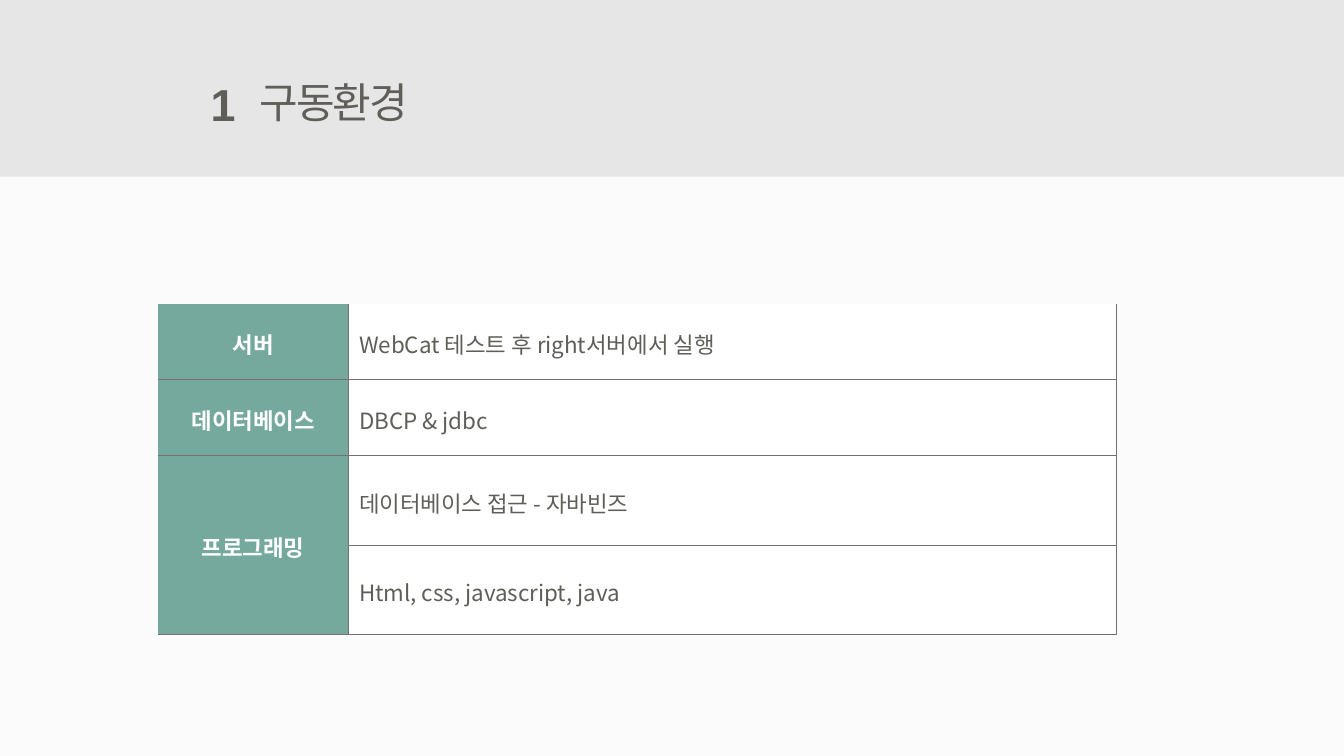
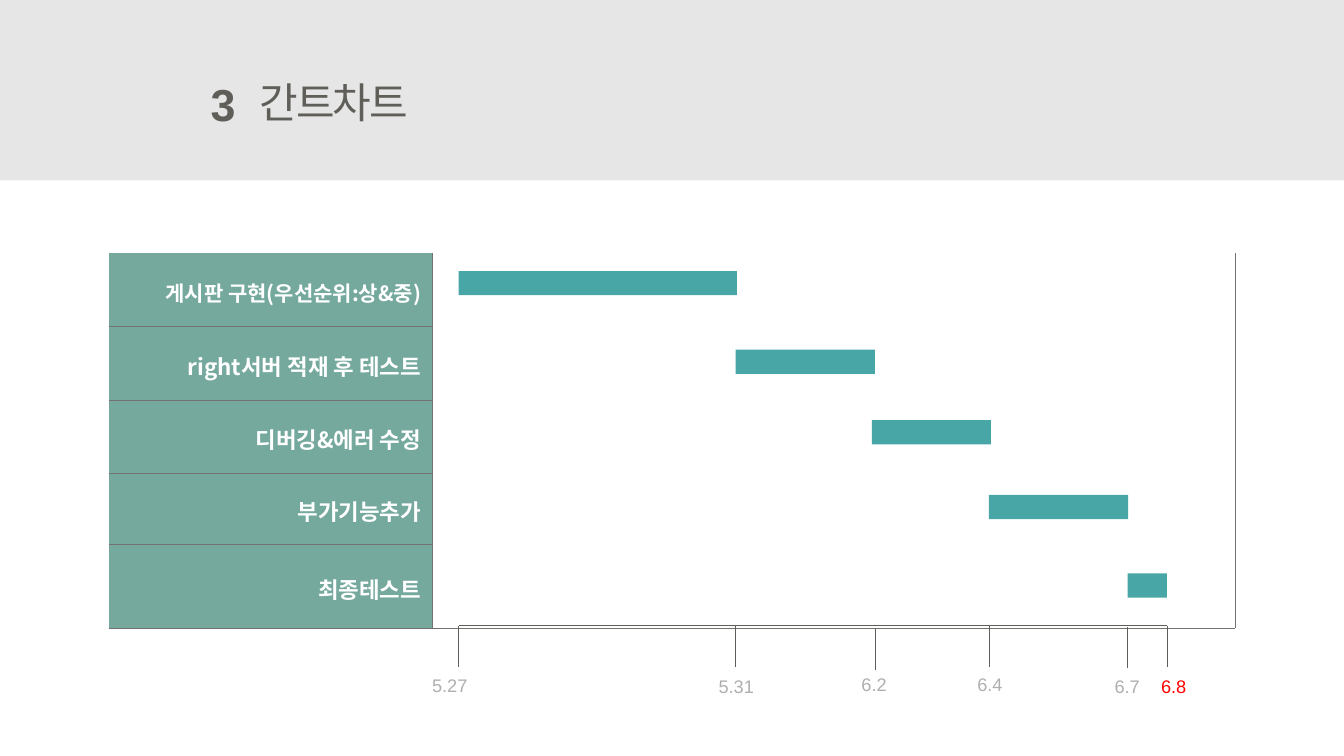
from dataclasses import dataclass
from itertools import product

from lxml.etree import SubElement
from pptx import Presentation
from pptx.dml.color import RGBColor
from pptx.enum.shapes import MSO_CONNECTOR, MSO_SHAPE
from pptx.enum.text import MSO_ANCHOR, MSO_AUTO_SIZE, PP_ALIGN
from pptx.oxml.ns import qn
from pptx.util import Cm, Pt


@dataclass(frozen=True)
class Theme:
    latin: str = "Arial"
    korean: str = "Noto Sans CJK KR"
    page: str = "FBFBFB"
    white: str = "FFFFFF"
    band: str = "E7E6E6"
    ink: str = "5F5E58"
    label: str = "75A99E"
    bar: str = "49A6A6"
    border: str = "767171"
    date: str = "B1AEAE"
    deadline: str = "FF0000"
    number_size: int = 32
    title_size: int = 30
    table_size: int = 16
    compact_size: int = 15
    date_size: int = 13
    border_width: float = 0.25
    axis_width: float = 0.5


THEME = Theme()
SLIDE_WIDTH, SLIDE_HEIGHT = 33.87, 19.05
TICK_LENGTH, BAR_HEIGHT = 1.04, 0.61

ENVIRONMENT = {
    "place": (3.99, 7.65),
    "columns": (4.78, 19.35),
    "rows": (1.91, 1.91, 2.26, 2.26),
    "cells": [
        ("서버", "WebCat 테스트 후 right서버에서 실행"),
        ("데이터베이스", "DBCP & jdbc"),
        ("프로그래밍", "데이터베이스 접근 - 자바빈즈"),
        ("", "Html, css, javascript, java"),
    ],
    "merge": ((2, 0), (3, 0)),
    "label_align": PP_ALIGN.CENTER,
}

TASKS = {
    "place": (2.74, 6.38),
    "columns": (8.15, 20.24),
    "rows": (1.85, 1.85, 1.85, 1.78, 2.11),
    "cells": [
        ("게시판 구현(우선순위:상&중)", ""),
        ("right서버 적재 후 테스트", ""),
        ("디버깅&에러 수정", ""),
        ("부가기능추가", ""),
        ("최종테스트", ""),
    ],
    "merge": ((0, 1), (4, 1)),
    "label_align": PP_ALIGN.RIGHT,
    "compact_rows": (0,),
}

# left, top, width
BARS = [
    (11.56, 6.83, 7.01),
    (18.54, 8.81, 3.51),
    (21.97, 10.59, 3.0),
    (24.92, 12.47, 3.51),
    (28.42, 14.45, 0.99),
]

# date, tick x, tick top, label left, label top, label width, colour
DATES = [
    ("5.27", 11.56, 15.77, 10.64, 16.87, 1.42, THEME.date),
    ("5.31", 18.54, 15.77, 17.86, 16.89, 1.42, THEME.date),
    ("6.2", 22.05, 15.85, 21.46, 16.84, 1.17, THEME.date),
    ("6.4", 24.94, 15.77, 24.38, 16.84, 1.17, THEME.date),
    ("6.7", 28.42, 15.8, 27.84, 16.89, 1.17, THEME.date),
    ("6.8", 29.41, 15.77, 29.01, 16.89, 2.74, THEME.deadline),
]


def color(value):
    return RGBColor.from_string(value)


def style(paragraph, size, ink, face, bold=False, align=PP_ALIGN.LEFT, spacing=None):
    paragraph.alignment = align
    font = paragraph.font
    font.size, font.bold, font.name = Pt(size), bold, face
    font.color.rgb = color(ink)
    properties = paragraph._p.pPr.find(qn("a:defRPr"))
    SubElement(properties, qn("a:ea")).set("typeface", THEME.korean)
    if spacing is not None:
        properties.set("spc", str(spacing))


def add_text(slide, text, left, top, width, height, wrap=False, **look):
    box = slide.shapes.add_textbox(Cm(left), Cm(top), Cm(width), Cm(height))
    frame = box.text_frame
    frame.word_wrap = wrap
    frame.auto_size = MSO_AUTO_SIZE.SHAPE_TO_FIT_TEXT
    frame.text = text
    style(frame.paragraphs[0], **look)


def add_block(slide, left, top, width, height, fill):
    shape = slide.shapes.add_shape(
        MSO_SHAPE.RECTANGLE, Cm(left), Cm(top), Cm(width), Cm(height)
    )
    shape.shadow.inherit = False
    shape.fill.solid()
    shape.fill.fore_color.rgb = color(fill)
    shape.line.fill.background()


def add_line(slide, x1, y1, x2, y2):
    line = slide.shapes.add_connector(
        MSO_CONNECTOR.STRAIGHT, Cm(x1), Cm(y1), Cm(x2), Cm(y2)
    )
    line.line.color.rgb = color(THEME.ink)
    line.line.width = Pt(THEME.axis_width)
    SubElement(line._element.spPr, qn("a:effectLst"))


def set_borders(cell, sides):
    properties = cell._tc.get_or_add_tcPr()
    for side, visible in sides.items():
        line = SubElement(properties, qn(f"a:ln{side}"))
        line.set("w", str(Pt(THEME.border_width)))
        if visible:
            fill = SubElement(line, qn("a:solidFill"))
            SubElement(fill, qn("a:srgbClr")).set("val", THEME.border)
        else:
            SubElement(line, qn("a:noFill"))


def add_label_table(slide, data):
    columns, rows = data["columns"], data["rows"]
    left, top = data["place"]
    table = slide.shapes.add_table(
        len(rows), len(columns), Cm(left), Cm(top), Cm(sum(columns)), Cm(sum(rows))
    ).table
    table.first_row = table.horz_banding = False
    for column, width in zip(table.columns, columns):
        column.width = Cm(width)
    for row, height in zip(table.rows, rows):
        row.height = Cm(height)
    first, last = data["merge"]
    table.cell(*first).merge(table.cell(*last))

    for r, c in product(range(len(rows)), range(len(columns))):
        cell = table.cell(r, c)
        inner = not cell.is_spanned
        set_borders(cell, {
            "L": c > 0,
            "R": True,
            "T": r > 0 and inner,
            "B": inner or r == len(rows) - 1,
        })
        cell.fill.solid()
        cell.fill.fore_color.rgb = color(THEME.white if c else THEME.label)
        cell.vertical_anchor = MSO_ANCHOR.MIDDLE
        cell.margin_left = cell.margin_right = Cm(0.28)
        cell.margin_top = cell.margin_bottom = Cm(0.15)
        text = data["cells"][r][c]
        if text:
            cell.text = text
            paragraph = cell.text_frame.paragraphs[0]
            paragraph.line_spacing = 1.15
            compact = c == 0 and r in data.get("compact_rows", ())
            style(
                paragraph,
                size=THEME.compact_size if compact else THEME.table_size,
                ink=THEME.ink if c else THEME.white,
                face=THEME.korean,
                bold=c == 0,
                align=PP_ALIGN.JUSTIFY if c else data["label_align"],
            )


def add_titled_slide(presentation, number, title, background, band_top=0):
    slide = presentation.slides.add_slide(presentation.slide_layouts[6])
    slide.background.fill.solid()
    slide.background.fill.fore_color.rgb = color(background)
    add_block(slide, 0, band_top, SLIDE_WIDTH, 4.55, THEME.band)
    add_text(slide, number, 5.05, 1.8, 1.14, 1.63, size=THEME.number_size,
             ink=THEME.ink, face=THEME.latin, bold=True, align=PP_ALIGN.RIGHT)
    add_text(slide, title, 6.3, 1.8, 4.57, 1.55, size=THEME.title_size,
             ink=THEME.ink, face=THEME.korean, spacing=-150)
    return slide


def add_schedule(slide):
    for left, top, width in BARS:
        add_block(slide, left, top, width, BAR_HEIGHT, THEME.bar)
    axis_top = DATES[0][2]
    add_line(slide, DATES[0][1], axis_top, DATES[-1][1], axis_top)
    for date, x, top, label_left, label_top, label_width, ink in DATES:
        add_line(slide, x, top, x, top + TICK_LENGTH)
        add_text(slide, date, label_left, label_top, label_width, 0.81, wrap=True,
                 size=THEME.date_size, ink=ink, face=THEME.latin)


def main():
    presentation = Presentation()
    presentation.slide_width = Cm(SLIDE_WIDTH)
    presentation.slide_height = Cm(SLIDE_HEIGHT)

    environment = add_titled_slide(presentation, "1", "구동환경", THEME.page, band_top=-0.1)
    add_label_table(environment, ENVIRONMENT)

    gantt = add_titled_slide(presentation, "3", "간트차트", THEME.white)
    add_label_table(gantt, TASKS)
    add_schedule(gantt)

    presentation.save("out.pptx")


if __name__ == "__main__":
    main()
